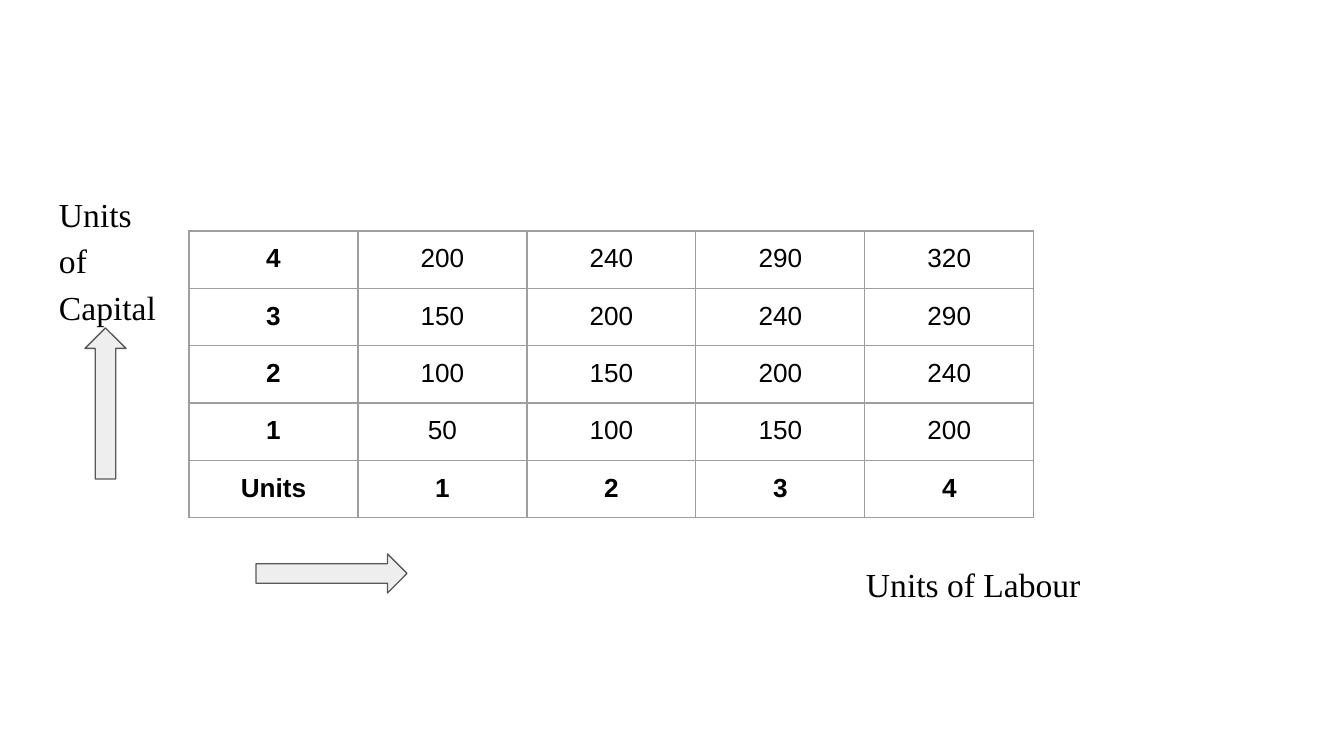
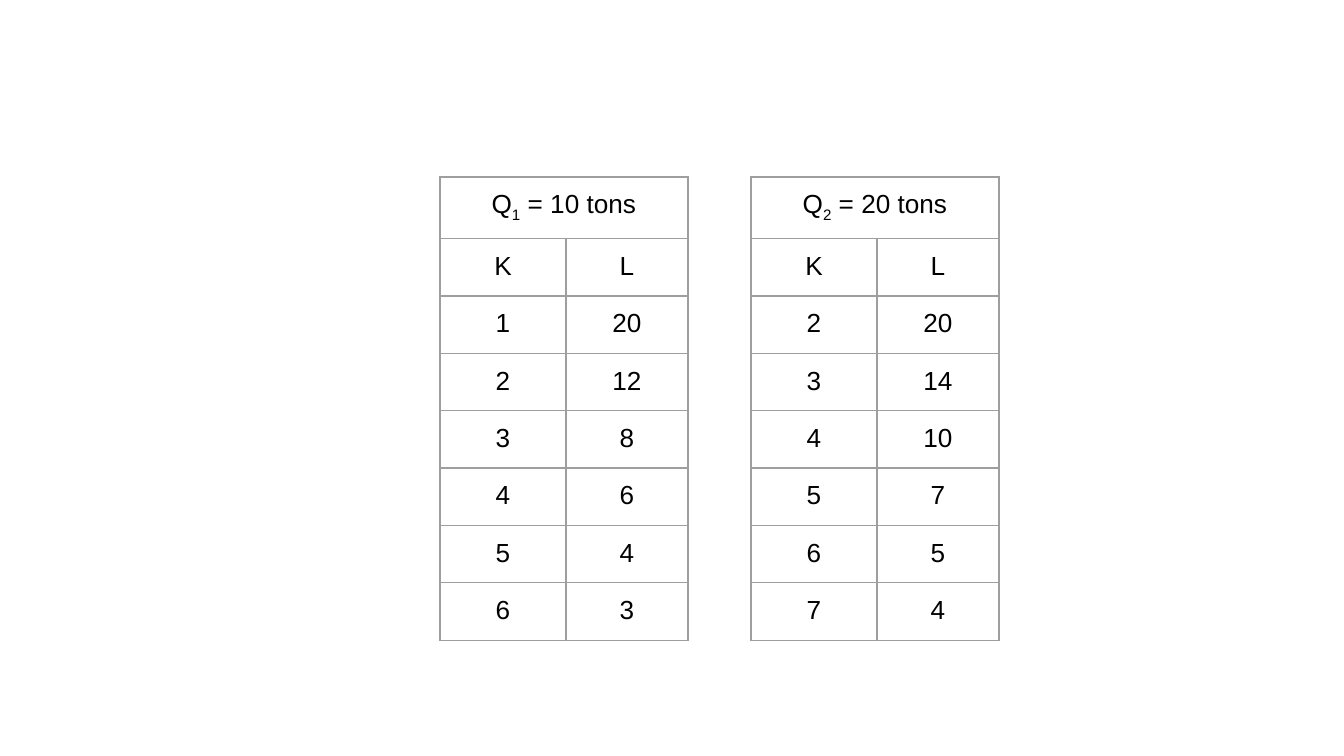
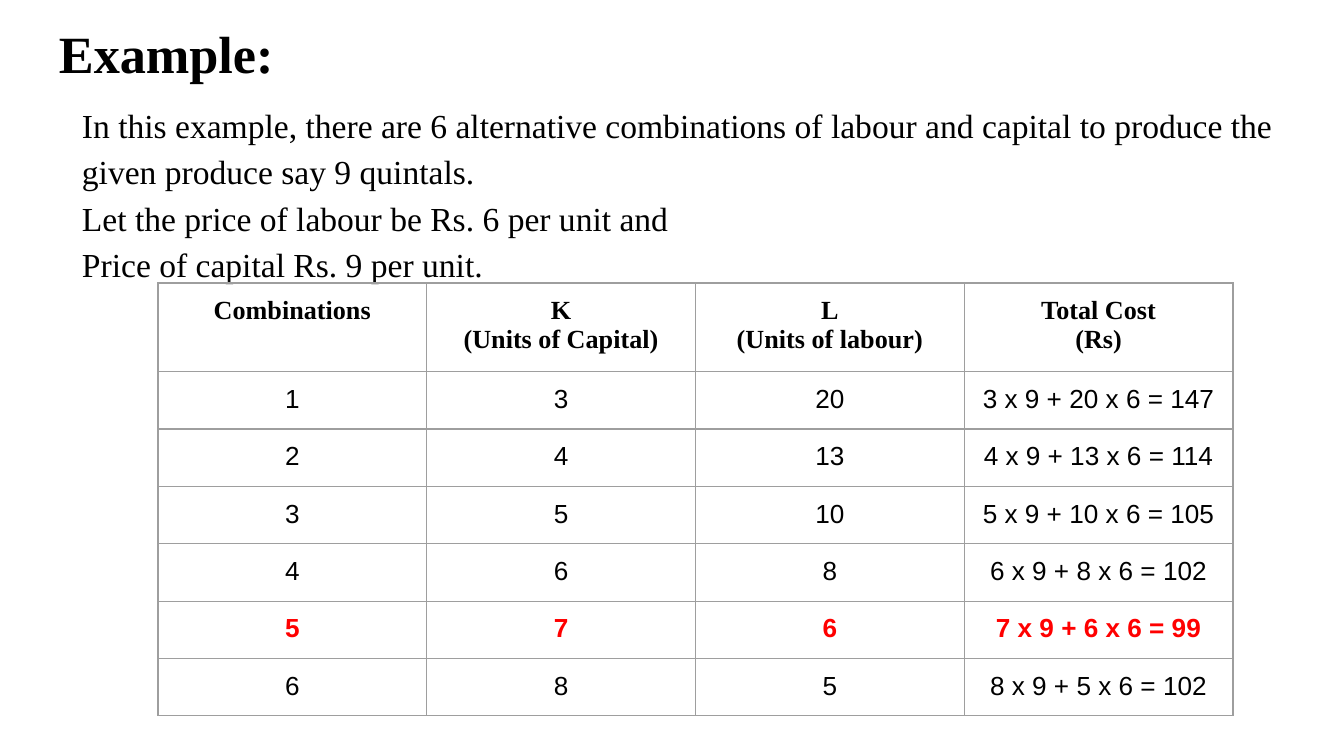
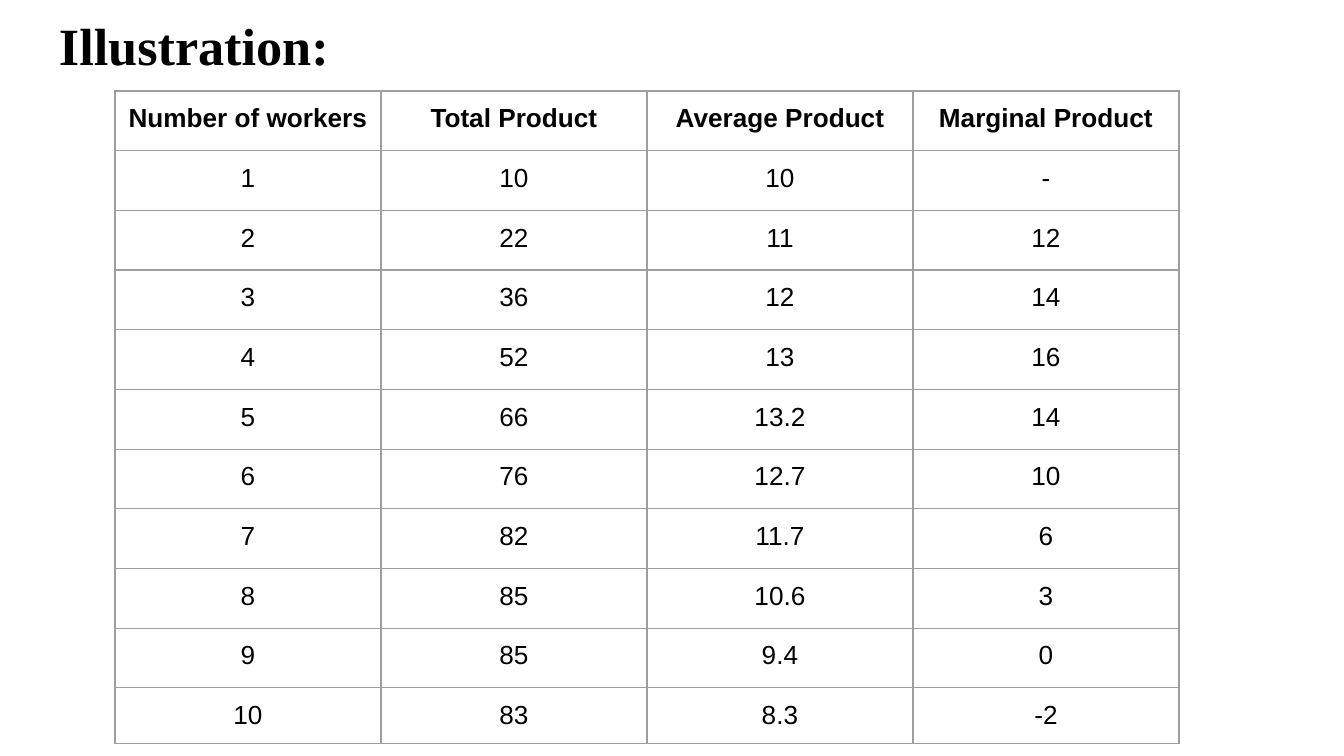
import pptx
import pptx.dml.color
import pptx.enum.shapes
import pptx.enum.text
import pptx.util
import lxml.etree
import pptx.oxml.ns

PX = 914400 / 134.4
INSET = 13
SERIF = "Times New Roman"
SANS = "Arial"
BLACK = pptx.dml.color.RGBColor(0x00, 0x00, 0x00)
RED = pptx.dml.color.RGBColor(0xFF, 0x00, 0x00)
ARROW_FILL = pptx.dml.color.RGBColor(0xEE, 0xEE, 0xEE)
ARROW_LINE = pptx.dml.color.RGBColor(0x59, 0x59, 0x59)
GRID_LINE = pptx.dml.color.RGBColor(0x9E, 0x9E, 0x9E)
ALIGN = pptx.enum.text.PP_ALIGN
TITLE_ONLY, BLANK = 5, 6


def write_text(holder, text, font, size, bold=False, color=BLACK, align=ALIGN.LEFT, spacing=1.0):
    for side in ("left", "top", "right", "bottom"):
        setattr(holder, f"margin_{side}", round(INSET * PX))
    frame = getattr(holder, "text_frame", holder)
    frame.word_wrap = True
    for number, line in enumerate(text.split("\n")):
        para = frame.add_paragraph() if number else frame.paragraphs[0]
        para.alignment = align
        para.line_spacing = spacing
        for part, words in enumerate(line.split("_")):
            span = para.add_run()
            span.text = words
            span.font.name = font
            span.font.size = pptx.util.Pt(size)
            span.font.bold = bold
            span.font.color.rgb = color
            if part % 2:
                span.font._element.set("baseline", "-25000")


def add_grid(slide, left, top, widths, heights, rows, bold_rows=(), bold_columns=(),
             header_font=SANS, accent_row=None):
    frame = slide.shapes.add_table(
        len(rows), len(widths), round(left * PX), round(top * PX),
        round(sum(widths) * PX), round(sum(heights) * PX))
    table = frame.table
    table.first_row = False
    table.horz_banding = False
    for column, width in zip(table.columns, widths):
        column.width = round(width * PX)
    for row, height in zip(table.rows, heights):
        row.height = round(height * PX)
    for r, values in enumerate(rows):
        if len(values) < len(widths):
            table.cell(r, 0).merge(table.cell(r, len(widths) - 1))
        for c in range(len(widths)):
            cell = table.cell(r, c)
            properties = cell._tc.get_or_add_tcPr()
            for edge in ("a:lnL", "a:lnR", "a:lnT", "a:lnB"):
                line = lxml.etree.SubElement(properties, pptx.oxml.ns.qn(edge), w="9525")
                fill = lxml.etree.SubElement(line, pptx.oxml.ns.qn("a:solidFill"))
                lxml.etree.SubElement(fill, pptx.oxml.ns.qn("a:srgbClr"), val=str(GRID_LINE))
            cell.fill.background()
            if c < len(values):
                write_text(cell, values[c], SANS if r else header_font, 14,
                           r in bold_rows or c in bold_columns,
                           RED if r == accent_row else BLACK, ALIGN.CENTER)


deck = pptx.Presentation()
deck.slide_width = round(1344 * PX)
deck.slide_height = round(756 * PX)

output_slide, isoquant_slide, example_slide, illustration_slide = [
    deck.slides.add_slide(deck.slide_layouts[layout])
    for layout in (BLANK, BLANK, TITLE_ONLY, TITLE_ONLY)]

for slide, top, height, text in [
    (example_slide, 8, 67, "Example:"),
    (illustration_slide, 0, 74, "Illustration:"),
]:
    title = slide.shapes.title
    title.left, title.top = round(46 * PX), round(top * PX)
    title.width, title.height = round(1253 * PX), round(height * PX)
    title.text_frame.auto_size = pptx.enum.text.MSO_AUTO_SIZE.NONE
    title.text_frame.vertical_anchor = pptx.enum.text.MSO_ANCHOR.TOP
    write_text(title.text_frame, text, SERIF, 28, bold=True)

for slide, left, top, width, height, text in [
    (output_slide, 46, 175, 130, 165, "Units\nof\nCapital"),
    (output_slide, 853, 545, 260, 73, "Units of Labour"),
    (example_slide, 69, 86, 1253, 212,
     "In this example, there are 6 alternative combinations of labour and capital "
     "to produce the given produce say 9 quintals.\n"
     "Let the price of labour be Rs. 6 per unit and\n"
     "Price of capital Rs. 9 per unit."),
]:
    box = slide.shapes.add_textbox(
        round(left * PX), round(top * PX), round(width * PX), round(height * PX))
    write_text(box.text_frame, text, SERIF, 18, spacing=1.15)

output_rows = [
    ["4", "200", "240", "290", "320"],
    ["3", "150", "200", "240", "290"],
    ["2", "100", "150", "200", "240"],
    ["1", "50", "100", "150", "200"],
    ["Units", "1", "2", "3", "4"],
]
add_grid(output_slide, 189, 231, [169] * 5, [287 / 5] * 5, output_rows,
         bold_rows=[4], bold_columns=[0])

for left, top, width, rotation in [(85, 328, 41, 0), (312, 498, 39, 90)]:
    arrow = output_slide.shapes.add_shape(
        pptx.enum.shapes.MSO_SHAPE.UP_ARROW,
        round(left * PX), round(top * PX), round(width * PX), round(151 * PX))
    arrow.rotation = rotation
    arrow.shadow.inherit = False
    arrow.fill.solid()
    arrow.fill.fore_color.rgb = ARROW_FILL
    arrow.line.color.rgb = ARROW_LINE
    arrow.line.width = pptx.util.Pt(0.75)

for left, height, heading, first_capital, labour_units in [
    (440, 397, "Q_1_ = 10 tons", 1, [20, 12, 8, 6, 4, 3]),
    (751, 395, "Q_2_ = 20 tons", 2, [20, 14, 10, 7, 5, 4]),
]:
    isoquant_rows = [[heading], ["K", "L"]]
    for capital, labour in enumerate(labour_units, first_capital):
        isoquant_rows.append([str(capital), str(labour)])
    add_grid(isoquant_slide, left, 177, [126, 122], [60] + [height / 7] * 7, isoquant_rows)

cost_rows = [["Combinations", "K\n(Units of Capital)", "L\n(Units of labour)", "Total Cost\n(Rs)"]]
for number, labour in enumerate([20, 13, 10, 8, 6, 5], 1):
    capital = number + 2
    cost = f"{capital} x 9 + {labour} x 6 = {capital * 9 + labour * 6}"
    cost_rows.append([str(number), str(capital), str(labour), cost])
add_grid(example_slide, 158, 283, [1075 / 4] * 4, [81] + [52] * 6, cost_rows,
         bold_rows=[0, 5], header_font=SERIF, accent_row=5)

product_rows = [
    ["Number of workers", "Total Product", "Average Product", "Marginal Product"],
    ["1", "10", "10", "-"],
    ["2", "22", "11", "12"],
    ["3", "36", "12", "14"],
    ["4", "52", "13", "16"],
    ["5", "66", "13.2", "14"],
    ["6", "76", "12.7", "10"],
    ["7", "82", "11.7", "6"],
    ["8", "85", "10.6", "3"],
    ["9", "85", "9.4", "0"],
    ["10", "83", "8.3", "-2"],
]
add_grid(illustration_slide, 115, 91, [266] * 4, [597 / 10] * 10 + [56], product_rows,
         bold_rows=[0])

deck.save("out.pptx")
